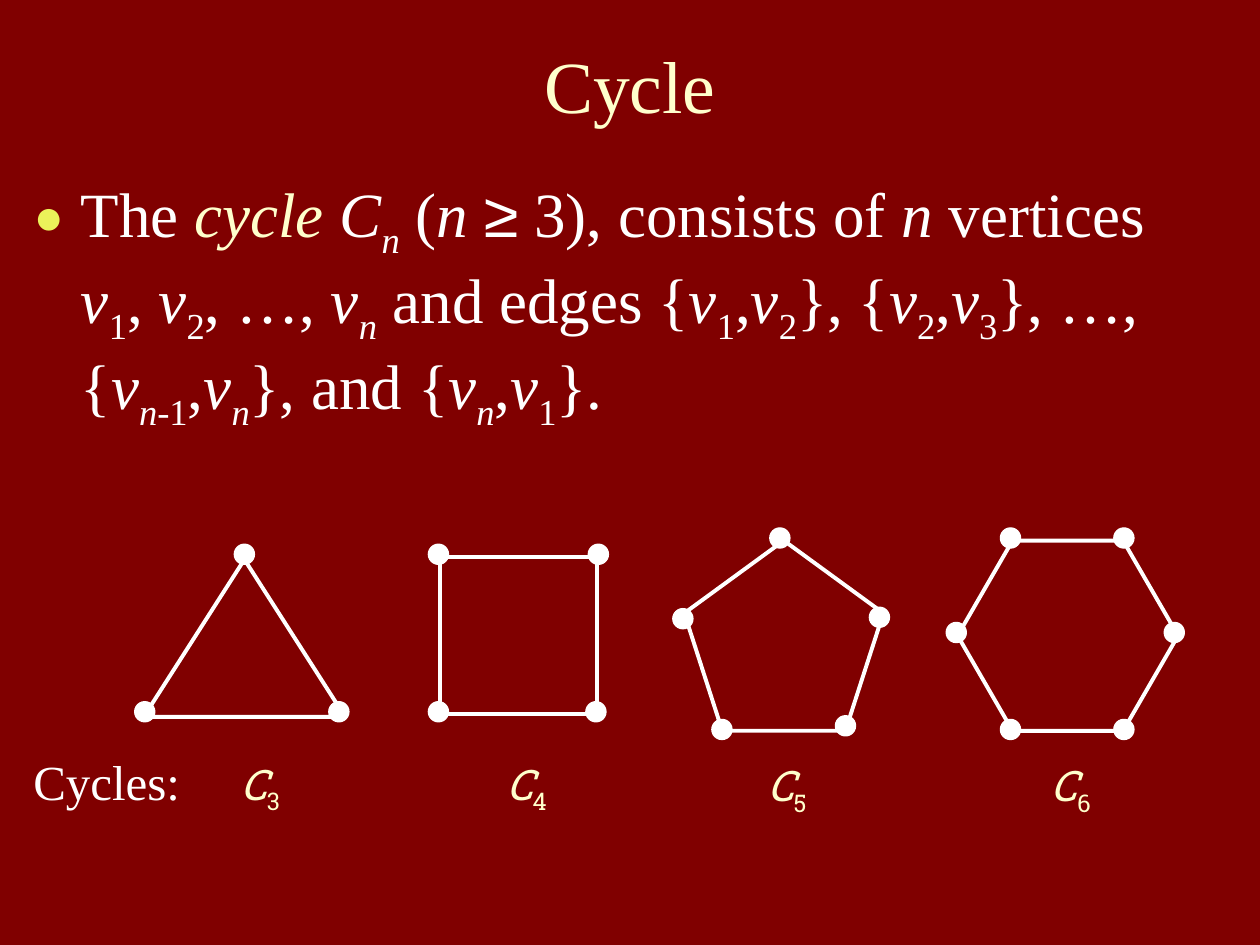
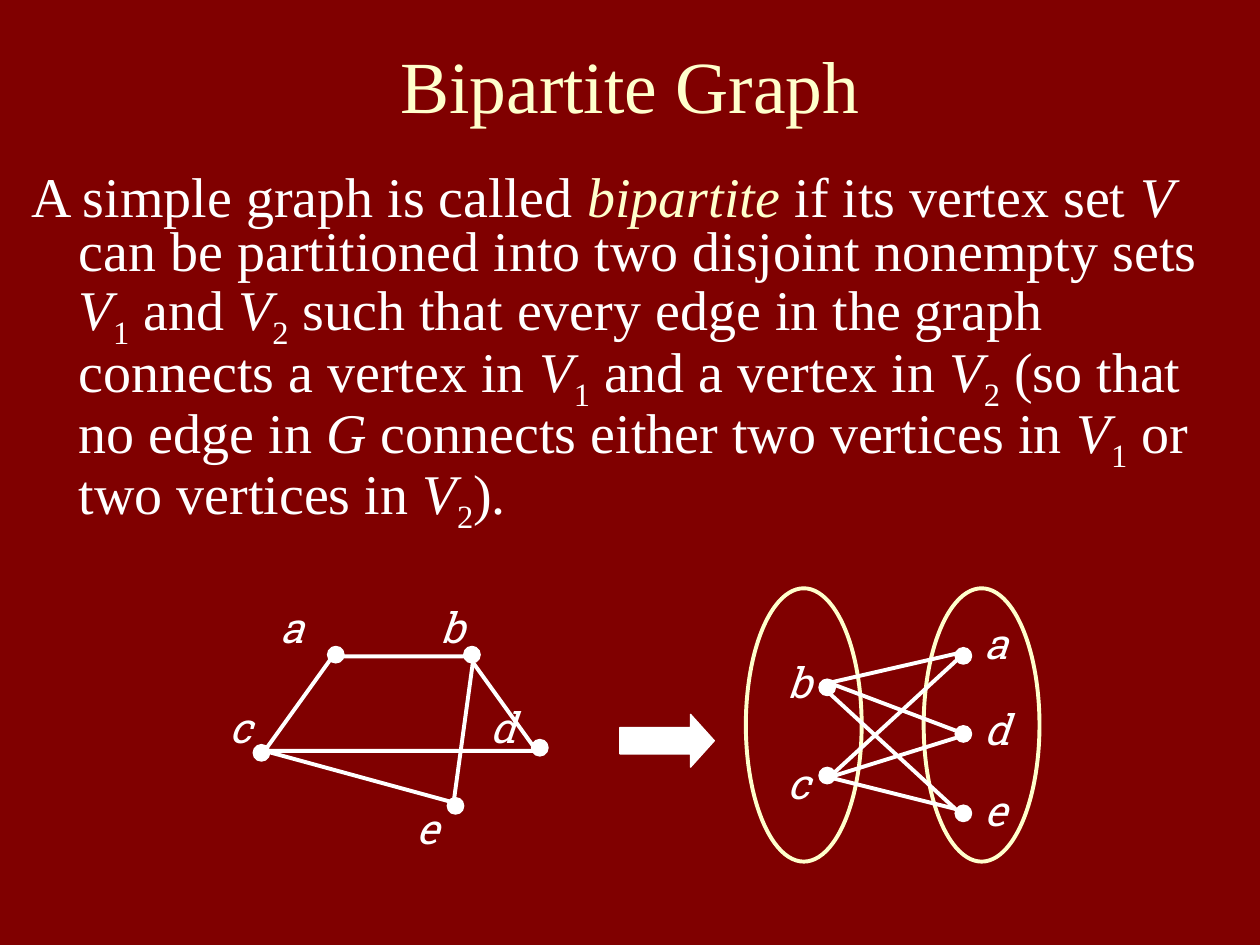
from dataclasses import dataclass
from itertools import groupby

from lxml.etree import SubElement
from pptx import Presentation
from pptx.dml.color import RGBColor as Rgb
from pptx.enum.shapes import MSO_CONNECTOR as Link, MSO_SHAPE as Kind
from pptx.enum.text import MSO_ANCHOR as Anchor, MSO_AUTO_SIZE as Fit, PP_ALIGN as Align
from pptx.oxml.ns import qn
from pptx.util import Pt


@dataclass(frozen=True)
class Theme:
    back: Rgb = Rgb(0x80, 0, 0)
    ink: Rgb = Rgb(0xFF, 0xFF, 0xFF)
    accent: Rgb = Rgb(0xFF, 0xFF, 0xCC)
    bullet: str = "EBF25A"
    serif: str = "Times New Roman"
    slab: str = "Roboto Slab"
    math: str = "Arial"
    title: int = 42
    lead: int = 36
    body: int = 32
    note: int = 28
    label: int = 24
    edge: float = 2.25
    rim: float = 0.75


THEME = Theme()
DOT, NODE = 11.5, 9.4  # vertex diameters on the two slides
TITLE_BOX = (36, 12, 648, 72)

# Each cycle: outline kind, outline box, vertex corners, label corner
CYCLES = [
    (Kind.ISOSCELES_TRIANGLE, (82.1, 319.7, 115.2, 90),
     [(77, 401), (133.9, 311), (187.9, 401)], (130.3, 429.8)),
    (Kind.RECTANGLE, (251.3, 318.2, 90, 90),
     [(244.8, 401), (244.8, 311), (336.2, 311), (334.8, 401)], (282.2, 429.8)),
    (Kind.REGULAR_PENTAGON, (391, 308.9, 113.8, 108.7),
     [(439.9, 301.7), (496.8, 347), (477.4, 409), (406.8, 411.1), (384.5, 347.8)],
     (431.3, 430.6)),
    (Kind.HEXAGON, (547.2, 308.9, 126, 108.7),
     [(665.3, 355.7), (636.5, 301.7), (636.5, 411.1), (571.7, 411.1),
      (540.7, 355.7), (571.7, 301.7)], (593.3, 430.6)),
]


def assign(item, values):
    for name, value in values.items():
        setattr(item, name, value)


def rich(para, text, size, font, color=THEME.ink):
    """Write runs; * toggles italic, _ subscript and ^ the accent colour."""
    on = dict.fromkeys("*_^", False)
    marked = []
    for char in text:
        if char in on:
            on[char] = not on[char]
        else:
            marked.append((char, (*on.values(), char == "≥")))
    for (slant, low, bright, sign), part in groupby(marked, lambda pair: pair[1]):
        run = para.add_run()
        run.text = "".join(char for char, _ in part)
        assign(run.font, {"size": Pt(size), "italic": slant,
                          "name": THEME.math if sign else font})
        run.font.color.rgb = THEME.accent if bright else color
        if low:
            run._r.get_or_add_rPr().set("baseline", "-25000")


def place(shape, box):
    assign(shape, dict(zip(("left", "top", "width", "height"), map(Pt, box))))


def hang(para, bullet):
    """Give a paragraph a hanging indent, with or without a bullet."""
    props = para._p.get_or_add_pPr()
    props.set("marL", str(Pt(27)))
    props.set("indent", str(-Pt(27)))
    if not bullet:
        SubElement(props, qn("a:buNone"))
        return
    tint = SubElement(props, qn("a:buClr"))
    SubElement(tint, qn("a:srgbClr")).set("val", THEME.bullet)
    SubElement(props, qn("a:buSzPct")).set("val", "80000")
    SubElement(props, qn("a:buChar")).set("char", "●")


def add_slide(deck, title):
    slide = deck.slides.add_slide(deck.slide_layouts[1])
    head = slide.shapes.title
    place(head, TITLE_BOX)
    assign(head.text_frame, {"vertical_anchor": Anchor.MIDDLE, "auto_size": Fit.NONE})
    para = head.text_frame.paragraphs[0]
    para.alignment = Align.CENTER
    rich(para, title, THEME.title, THEME.serif, THEME.accent)
    return slide


def fill_body(slide, box, text, size, spacing=1.0, side=7.2, bullet=False):
    body = slide.placeholders[1]
    place(body, box)
    assign(body.text_frame, {"auto_size": Fit.NONE, "margin_left": Pt(side),
                             "margin_right": Pt(side)})
    para = body.text_frame.paragraphs[0]
    assign(para, {"space_before": Pt(0), "line_spacing": spacing})
    hang(para, bullet)
    rich(para, text, size, THEME.serif)


def add_label(shapes, box, text, size=THEME.label, font=THEME.slab, color=THEME.ink):
    frame = shapes.add_textbox(*map(Pt, box)).text_frame
    frame.word_wrap = False
    rich(frame.paragraphs[0], text, size, font, color)


def stroke(shape, color, width):
    shape.line.color.rgb = color
    shape.line.width = Pt(width)


def outline(shape, color=THEME.ink):
    shape.shadow.inherit = False
    shape.fill.background()
    stroke(shape, color, THEME.edge)


def add_solid(shapes, kind, box):
    shape = shapes.add_shape(kind, *map(Pt, box))
    shape.shadow.inherit = False
    shape.fill.solid()
    shape.fill.fore_color.rgb = THEME.ink
    stroke(shape, THEME.ink, THEME.rim)
    return shape


def add_dots(shapes, spots, size):
    for x, y in spots:
        add_solid(shapes, Kind.OVAL, (x, y, size, size))


def add_edge(shapes, start, end):
    line = shapes.add_connector(Link.STRAIGHT, *map(Pt, (*start, *end)))
    stroke(line, THEME.ink, THEME.edge)
    SubElement(line._element.spPr, qn("a:effectLst"))


def add_letters(shapes, spots):
    for letter, (x, y) in spots.items():
        add_label(shapes, (x, y, 30, 36), f"*{letter}*")


def add_group(slide):
    return slide.shapes.add_group_shape().shapes


def add_cycle(slide, count, kind, box, spots, corner):
    shapes = add_group(slide)
    ring = shapes.add_shape(kind, *map(Pt, box))
    if kind == Kind.HEXAGON:
        ring.adjustments[0] = 0.289
        ring.adjustments[1] = 1.155
    outline(ring)
    add_dots(shapes, spots, DOT)
    add_label(shapes, (*corner, 40.3, 40.3), f"*C*_{count}_", color=THEME.accent)


def build_cycles(deck):
    slide = add_slide(deck, "Cycle")
    fill_body(slide, (12, 96, 684, 162),
              "The ^*cycle ^C_n_* (*n *≥ 3), consists of *n* vertices "
              "*v*_1_, *v*_2_, …, *v_n_* and edges {*v*_1_,*v*_2_}, {*v*_2_,*v*_3_}, …, "
              "{*v_n*-1_,*v_n_*}, and {*v_n_*,*v*_1_}.",
              THEME.lead, bullet=True)
    for count, cycle in enumerate(CYCLES, 3):
        add_cycle(slide, count, *cycle)
    add_label(slide.shapes, (12, 426, 114, 41), "Cycles:", THEME.note, THEME.serif)


def add_graph(slide):
    """Draw the graph before its vertices are sorted into two sets."""
    shapes = add_group(slide)
    first, *rest = [(Pt(x), Pt(y)) for x, y in
                    ((151.2, 429.1), (190.1, 375.1), (267.8, 375.1), (306.7, 429.1))]
    pen = shapes.build_freeform(*first)
    pen.add_line_segments(rest, close=True)
    outline(pen.convert_to_shape())
    add_dots(shapes, [(187.2, 369.4), (265, 369.4), (144.7, 425.5),
                      (303.8, 422.6), (255.6, 455.8)], NODE)
    for start in ((270.7, 375.1), (151.2, 429.1)):
        add_edge(shapes, start, (259.2, 458.6))
    add_letters(shapes, {"a": (153, 340), "b": (244.4, 340), "c": (124, 397.5),
                         "d": (273, 397.5), "e": (231, 455)})


def add_sets(slide):
    """Draw the same graph with its vertices in two sets."""
    shapes = add_group(slide)
    for x in (426.2, 527.8):
        outline(shapes.add_shape(Kind.OVAL, *map(Pt, (x, 336.2, 66.2, 156.2))),
                THEME.accent)
    add_dots(shapes, [(468, y) for y in (388.1, 438.5)], NODE)
    add_dots(shapes, [(545.8, y) for y in (370.1, 414.7, 460.1)], NODE)
    near, far = 473.8, 552.2
    top, mid = (far, 372.2), (far, 419.8)
    edges = {(near, 390.2): (top, mid), (near, 396): [(far, 468)],
             (near, 444.2): (top, mid, (545.8, 462.2))}
    for start, ends in edges.items():
        for end in ends:
            add_edge(shapes, start, end)
    add_letters(shapes, {"b": (442.8, 371.5), "c": (442.8, 429.1), "a": (555.8, 349.2),
                         "d": (555.8, 398.3), "e": (555.8, 444.6)})


def build_bipartite(deck):
    slide = add_slide(deck, "Bipartite Graph")
    fill_body(slide, (18, 96, 684, 228),
              "A simple graph is called ^*bipartite*^ if its vertex set *V* can be "
              "partitioned into two disjoint nonempty sets *V*_1_ and *V*_2_ such that "
              "every edge in the graph connects a vertex in *V*_1_ and a vertex in "
              "*V*_2_ (so that no edge in *G* connects either two vertices in *V*_1_ "
              "or two vertices in *V*_2_).",
              THEME.body, spacing=0.8, side=0)
    add_graph(slide)
    add_sets(slide)
    arrow = add_solid(slide.shapes, Kind.RIGHT_ARROW, (354.2, 408.2, 54, 30.2))
    arrow.adjustments[1] = 0.45


def main():
    deck = Presentation()
    assign(deck, {"slide_width": Pt(720), "slide_height": Pt(540)})
    back = deck.slide_master.background.fill
    back.solid()
    back.fore_color.rgb = THEME.back
    build_cycles(deck)
    build_bipartite(deck)
    deck.save("out.pptx")


if __name__ == "__main__":
    main()
